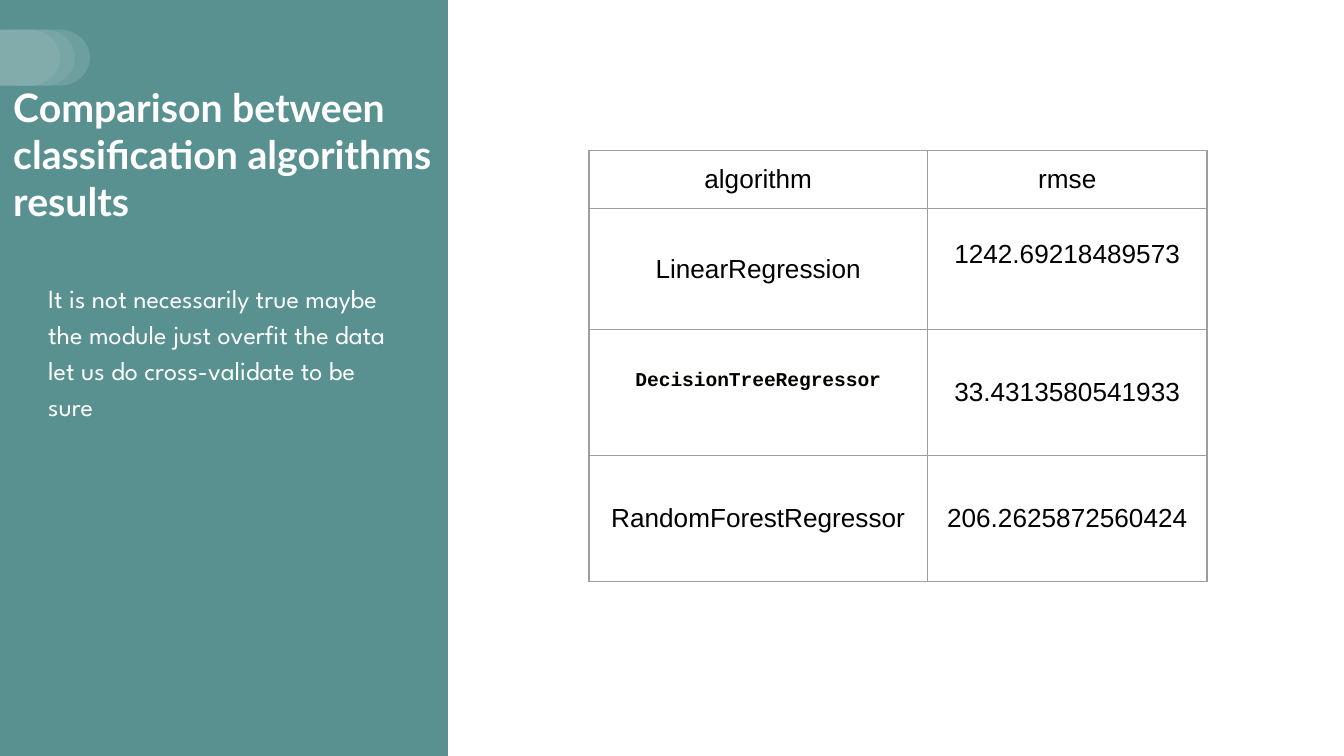
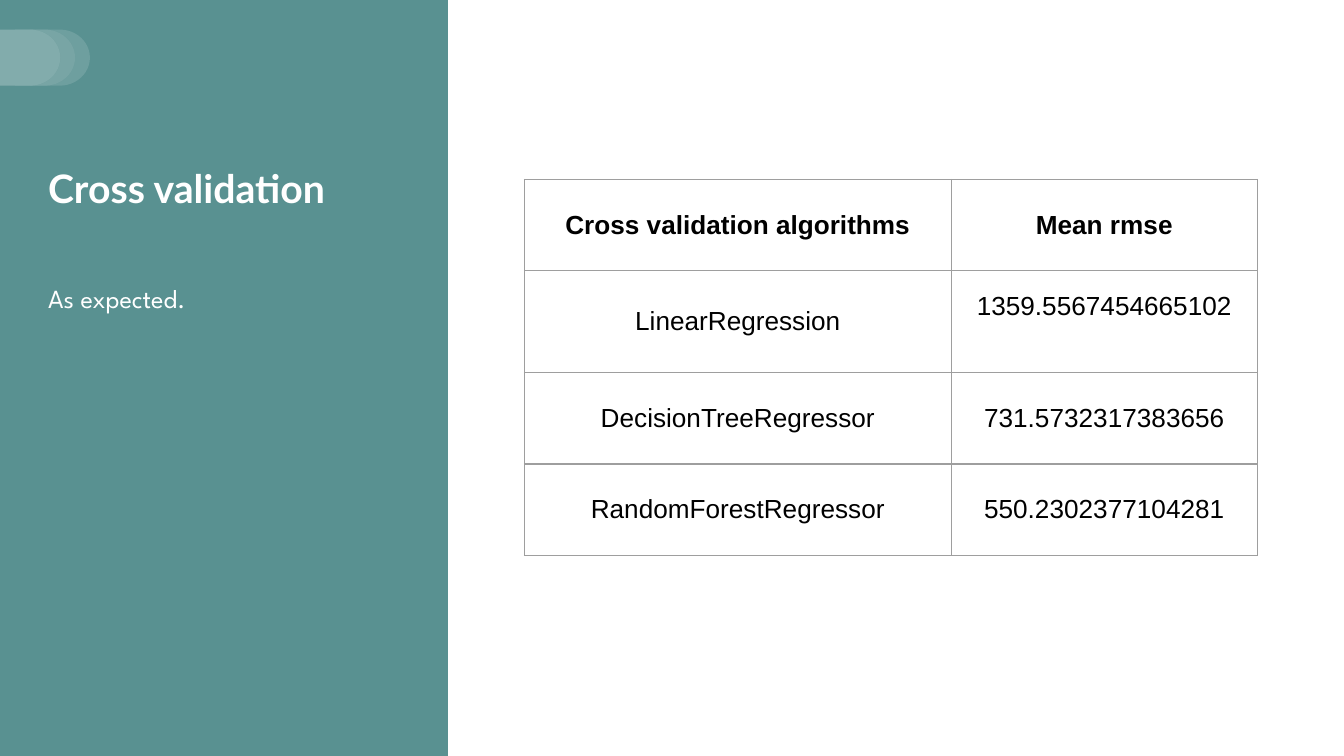
from dataclasses import dataclass
from lxml.etree import SubElement
from pptx import Presentation
from pptx.dml.color import RGBColor
from pptx.enum.shapes import MSO_SHAPE
from pptx.enum.text import MSO_ANCHOR, MSO_AUTO_SIZE, PP_ALIGN
from pptx.oxml import parse_xml
from pptx.oxml.ns import nsdecls, qn
from pptx.util import Cm, Pt


@dataclass(frozen=True)
class Theme:
    teal: str = "599191"
    white: str = "FFFFFF"
    black: str = "000000"
    grid: str = "9E9E9E"
    mark: str = "FFFFFE"
    head: str = "Lato"
    body: str = "League Spartan"
    cell: str = "Arial"
    code: str = "Courier New"
    title_size: float = 21
    text_size: float = 14
    code_size: float = 10.5
    line: float = 0.75
    inset: float = 0.25
    lift: float = 0.56


@dataclass(frozen=True)
class Box:
    left: float
    top: float
    width: float = 0
    height: float = 0

    def place(self, shape):
        shape.left, shape.top = Cm(self.left), Cm(self.top)
        shape.width, shape.height = Cm(self.width), Cm(self.height)


THEME = Theme()
PAGE = Box(0, 0, 25.4, 14.29)
SIDE = 8.47
TITLE = Box(0.66, 1.75, 7.14, 2.49)
WIDE_TITLE = Box(0, 1.32, 8.41, 3.18)
NOTE = Box(0.66, 5, 7.14, 8.28)


def style(par, font, size, color, bold=False):
    for run in par.runs:
        run.font.name = font
        run.font.size = Pt(size)
        run.font.bold = bold
        run.font.color.rgb = RGBColor.from_string(color)


def pad(item):
    item.margin_left = item.margin_right = Cm(THEME.inset)
    item.margin_top = item.margin_bottom = Cm(THEME.inset)


def add_block(slide, kind, box, color, alpha=None):
    shape = slide.shapes.add_shape(kind, 0, 0, 0, 0)
    box.place(shape)
    shape.shadow.inherit = False
    shape.line.fill.background()
    shape.fill.solid()
    shape.fill.fore_color.rgb = RGBColor.from_string(color)
    if alpha:
        tint = shape._element.spPr.find(qn("a:solidFill"))[0]
        SubElement(tint, qn("a:alpha")).set("val", str(alpha * 1000))
    return shape


def add_tabs(slide, box):
    step = 0.28
    tabs = []
    for order, alpha in enumerate((13, 19, 25)):
        spot = Box(box.left + (2 - order) * step, box.top, box.width, box.height)
        for color, clear in ((THEME.teal, None), (THEME.white, alpha)):
            tabs.append(add_block(slide, MSO_SHAPE.FLOWCHART_DELAY, spot, color, clear))
    return tabs


def dress_layout(layout, slide, box):
    right = Box(box.left + SIDE, box.top, box.width - SIDE, box.height)
    parts = [
        add_block(slide, MSO_SHAPE.RECTANGLE, box, THEME.teal),
        add_block(slide, MSO_SHAPE.RECTANGLE, right, THEME.white),
        *add_tabs(slide, Box(box.left, box.top + 0.56, 1.14, 1.06)),
    ]
    start = max(shape.shape_id for shape in layout.shapes) + 1
    for order, part in enumerate(parts):
        part._element.nvSpPr.cNvPr.set("id", str(start + order))
        layout.shapes._spTree.insert(2 + order, part._element)


def fill_holder(holder, box, text, anchor):
    box.place(holder)
    frame = holder.text_frame
    frame.text = text
    frame.word_wrap = True
    frame.auto_size = MSO_AUTO_SIZE.NONE
    frame.vertical_anchor = anchor
    pad(frame)
    par = frame.paragraphs[0]
    par.alignment = PP_ALIGN.LEFT
    par.space_before = Pt(0)
    return par


def add_title(slide, box, text):
    par = fill_holder(slide.shapes.title, box, text, MSO_ANCHOR.BOTTOM)
    style(par, THEME.head, THEME.title_size, THEME.white, True)


def add_note(slide, box, text):
    par = fill_holder(slide.placeholders[1], box, text, MSO_ANCHOR.TOP)
    par.line_spacing = 1.15
    par.space_after = Pt(16)
    props = par._p.get_or_add_pPr()
    props.set("marL", "0")
    props.set("indent", "0")
    SubElement(props, qn("a:buNone"))
    style(par, THEME.body, THEME.text_size, THEME.white)


def add_edges(cell):
    props = cell._tc.get_or_add_tcPr()
    for order, side in enumerate("LRTB"):
        props.insert(order, parse_xml(
            f'<a:ln{side} {nsdecls("a")} w="{Pt(THEME.line)}"><a:solidFill>'
            f'<a:srgbClr val="{THEME.grid}"/></a:solidFill></a:ln{side}>'))


def set_code(cell):
    par = cell.text_frame.paragraphs[0]
    par.line_spacing = 1.36
    style(par, THEME.code, THEME.code_size, THEME.black, True)
    for run in par.runs:
        fill = run._r.get_or_add_rPr().find(qn("a:solidFill"))
        fill.addnext(parse_xml(
            f'<a:highlight {nsdecls("a")}><a:srgbClr val="{THEME.mark}"/></a:highlight>'))


def add_grid(slide, box, cols, rows, data, raised, bold_head=False):
    frame = slide.shapes.add_table(
        len(rows), len(cols), Cm(box.left), Cm(box.top), Cm(sum(cols)), Cm(sum(rows)))
    table = frame.table
    table.first_row = table.horz_banding = False
    for col, width in zip(table.columns, cols):
        col.width = Cm(width)
    for row, height in zip(table.rows, rows):
        row.height = Cm(height)
    for r, line in enumerate(data):
        for c, text in enumerate(line):
            cell = table.cell(r, c)
            cell.text_frame.text = text
            cell.vertical_anchor = MSO_ANCHOR.MIDDLE
            pad(cell)
            if (r, c) in raised:
                cell.margin_bottom = Cm(THEME.inset + THEME.lift)
            cell.fill.background()
            add_edges(cell)
            par = cell.text_frame.paragraphs[0]
            par.alignment = PP_ALIGN.CENTER
            style(par, THEME.cell, THEME.text_size, THEME.black, bold_head and r == 0)
    return table


def fill_scores(slide):
    add_title(slide, WIDE_TITLE, "Comparison between classification algorithms results")
    add_note(slide, NOTE, "It is not necessarily true maybe the module just overfit "
             "the data let us do cross-validate to be sure")
    table = add_grid(
        slide, Box(11.13, 2.84), (6.4, 5.28), (1.1, 2.29, 2.38, 2.38),
        (("algorithm", "rmse"),
         ("LinearRegression", "1242.69218489573"),
         ("DecisionTreeRegressor", "33.4313580541933"),
         ("RandomForestRegressor", "206.2625872560424")),
        {(1, 1), (2, 0)})
    set_code(table.cell(2, 0))


def fill_cross(slide):
    add_title(slide, TITLE, "Cross validation")
    add_note(slide, NOTE, "As expected.")
    add_grid(
        slide, Box(9.91, 3.39), (8.07, 5.78), (1.73, 1.92, 1.73, 1.73),
        (("Cross validation algorithms", "Mean rmse"),
         ("LinearRegression", "1359.5567454665102"),
         ("DecisionTreeRegressor", "731.5732317383656"),
         ("RandomForestRegressor", "550.2302377104281")),
        {(1, 1)}, bold_head=True)


def main():
    deck = Presentation()
    deck.slide_width, deck.slide_height = Cm(PAGE.width), Cm(PAGE.height)
    layout = deck.slide_layouts[1]
    first, second = [deck.slides.add_slide(layout) for _ in range(2)]
    dress_layout(layout, first, PAGE)
    fill_scores(first)
    fill_cross(second)
    deck.save("out.pptx")


if __name__ == "__main__":
    main()
